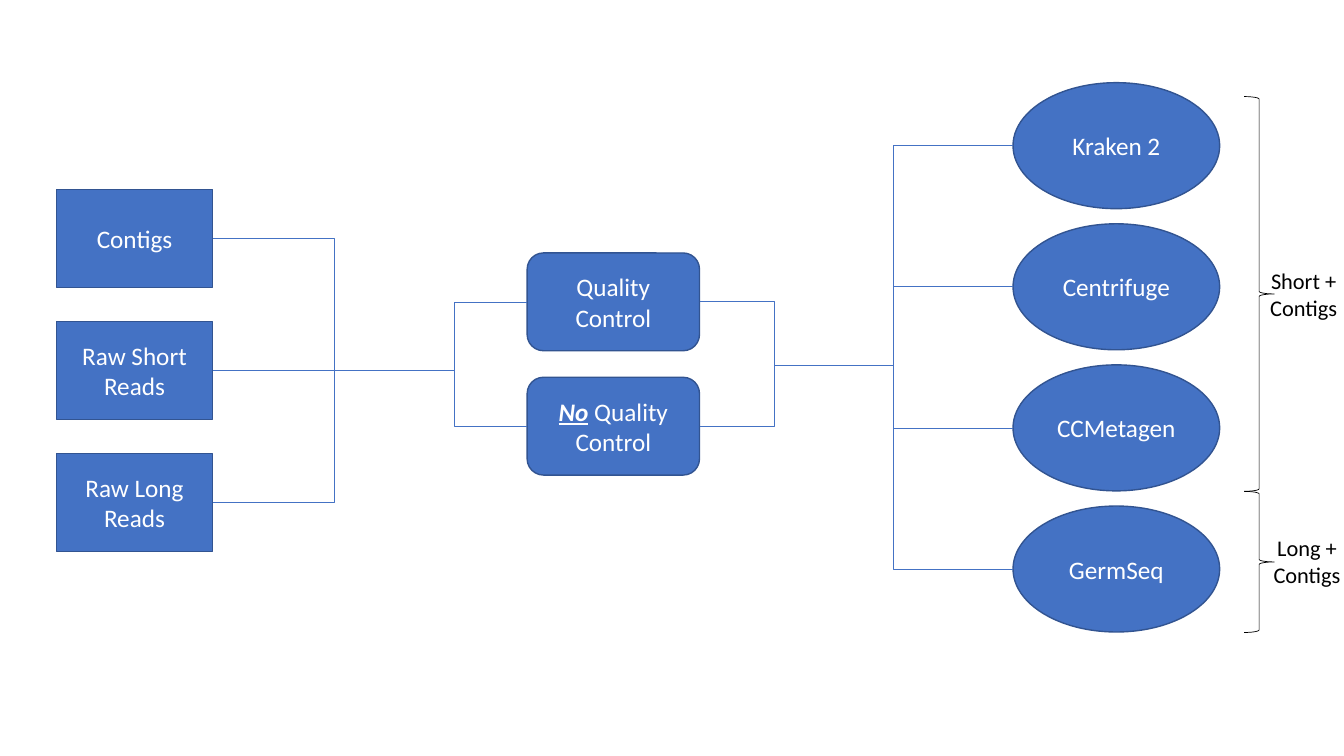
from dataclasses import dataclass

from lxml.etree import SubElement
from pptx import Presentation
from pptx.dml.color import RGBColor
from pptx.enum.shapes import MSO_CONNECTOR as Connector, MSO_SHAPE as Shape
from pptx.enum.text import MSO_ANCHOR as Anchor, PP_ALIGN as Align
from pptx.oxml.ns import qn
from pptx.util import Inches, Pt


@dataclass(frozen=True)
class Theme:
    font: str = "Calibri"
    fill: RGBColor = RGBColor(0x44, 0x72, 0xC4)
    outline: RGBColor = RGBColor(0x32, 0x54, 0x91)
    light: RGBColor = RGBColor(0xFF, 0xFF, 0xFF)
    dark: RGBColor = RGBColor(0, 0, 0)
    block_size: int = 18
    label_size: int = 16
    outline_width: float = 1
    thin_width: float = 0.5


@dataclass(frozen=True)
class Box:
    left: float
    top: float
    width: float
    height: float

    @property
    def right(self):
        return self.left + self.width

    @property
    def middle(self):
        return self.top + self.height / 2


class Diagram:
    COLUMNS, ROWS = 160, 90

    def __init__(self, presentation, theme):
        self.theme = theme
        self.column = presentation.slide_width / self.COLUMNS
        self.row = presentation.slide_height / self.ROWS
        self.slide = presentation.slides.add_slide(presentation.slide_layouts[6])

    def place(self, column, row):
        return round(column * self.column), round(row * self.row)

    def frame(self, box):
        return *self.place(box.left, box.top), *self.place(box.width, box.height)

    def style_paragraph(self, paragraph, size, color):
        paragraph.alignment = Align.CENTER
        paragraph.font.name = self.theme.font
        paragraph.font.size = Pt(size)
        paragraph.font.color.rgb = color

    def block(self, kind, box, text, emphasis=""):
        shape = self.slide.shapes.add_shape(kind, *self.frame(box))
        shape.shadow.inherit = False
        shape.fill.solid()
        shape.fill.fore_color.rgb = self.theme.fill
        shape.line.color.rgb = self.theme.outline
        shape.line.width = Pt(self.theme.outline_width)
        shape.text_frame.word_wrap = True
        shape.text_frame.vertical_anchor = Anchor.MIDDLE
        paragraph = shape.text_frame.paragraphs[0]
        self.style_paragraph(paragraph, self.theme.block_size, self.theme.light)
        if emphasis:
            run = paragraph.add_run()
            run.text = emphasis
            run.font.bold = run.font.italic = run.font.underline = True
        paragraph.add_run().text = text

    def stack(self, kind, first, step, entries):
        boxes = []
        for index, entry in enumerate(entries):
            box = Box(first.left, first.top + index * step, first.width, first.height)
            self.block(kind, box, *entry)
            boxes.append(box)
        return boxes

    def link(self, start, end, bend=0.5):
        connector = self.slide.shapes.add_connector(
            Connector.ELBOW, *self.place(*start), *self.place(*end))
        connector.line.color.rgb = self.theme.fill
        connector.line.width = Pt(self.theme.thin_width)
        properties = connector._element.spPr
        SubElement(properties, qn("a:effectLst"))
        adjustments = properties.find(qn("a:prstGeom")).get_or_add_avLst()
        SubElement(adjustments, qn("a:gd"), name="adj1", fmla=f"val {round(bend * 100000)}")

    def brace(self, box):
        shape = self.slide.shapes.add_shape(Shape.RIGHT_BRACE, *self.frame(box))
        shape.shadow.inherit = False
        shape.fill.background()
        shape.line.color.rgb = self.theme.dark
        shape.line.width = Pt(self.theme.thin_width)

    def label(self, box, lines):
        text_frame = self.slide.shapes.add_textbox(*self.frame(box)).text_frame
        text_frame.word_wrap = True
        text_frame.text = "\n".join(lines)
        for paragraph in text_frame.paragraphs:
            self.style_paragraph(paragraph, self.theme.label_size, self.theme.dark)


def main():
    presentation = Presentation()
    presentation.slide_width, presentation.slide_height = Inches(13.33), Inches(7.5)
    diagram = Diagram(presentation, Theme())

    inputs = diagram.stack(Shape.RECTANGLE, Box(6.72, 22.56, 18.6, 11.64), 15.72, [
        ("Contigs",), ("Raw Short Reads",), ("Raw Long Reads",)])
    controls = diagram.stack(Shape.ROUNDED_RECTANGLE, Box(62.76, 30.12, 20.52, 11.64), 14.8, [
        ("Quality Control",), (" Quality Control", "No")])
    classifiers = diagram.stack(Shape.OVAL, Box(120.6, 9.84, 24.6, 15), 16.8, [
        ("Kraken 2",), ("Centrifuge",), ("CCMetagen",), ("GermSeq",)])

    raw_short = inputs[1]
    source = (raw_short.right, raw_short.middle)
    merge = (54.2, raw_short.middle)
    split = (92.2, 43.44)
    branch = (106.4, 43.44)

    for box in (inputs[0], inputs[2]):
        diagram.link((box.right, box.middle), merge)
    for box in controls:
        diagram.link(source, (box.left, box.middle), bend=0.77)
        diagram.link((box.right, box.middle), (101.2, split[1]))
    for box in classifiers:
        bend = (branch[0] - split[0]) / (box.left - split[0])
        diagram.link(split, (box.left, box.middle), bend)

    for top, height, label_left, label_top, reads in (
            (11.5, 47, 148.3, 31.2, "Short +"),
            (58.5, 16.8, 148.7, 63, "Long +")):
        diagram.brace(Box(148.1, top, 3.6, height))
        diagram.label(Box(label_left, label_top, 13.8, 7.7), (reads, "Contigs"))

    presentation.save("out.pptx")


if __name__ == "__main__":
    main()
